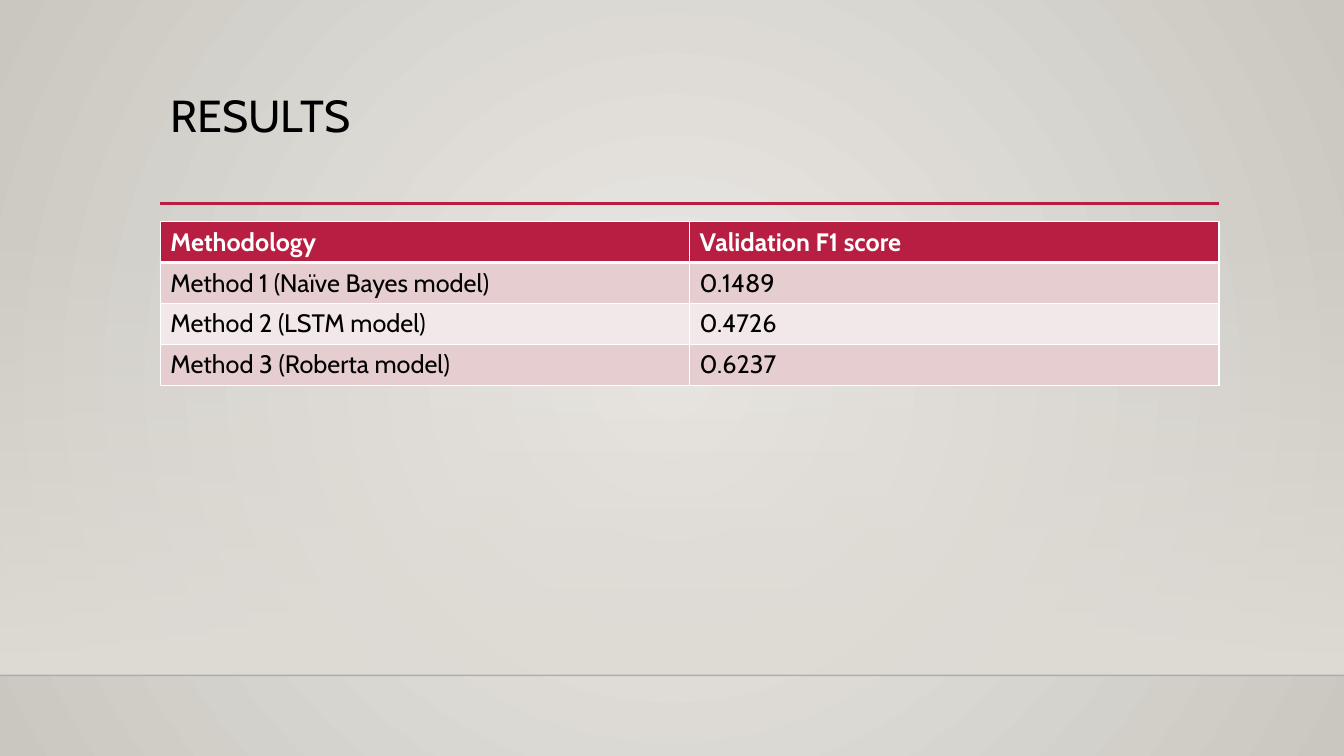
from pptx import Presentation
from pptx.dml.color import RGBColor
from pptx.enum.shapes import MSO_CONNECTOR, MSO_SHAPE
from pptx.enum.text import MSO_ANCHOR, PP_ALIGN
from pptx.oxml import parse_xml
from pptx.oxml.ns import nsdecls, qn
from pptx.util import Inches, Pt
from lxml.etree import SubElement

FONT = "Cabin"
RED = RGBColor(0xB7, 0x1E, 0x42)
ROSE = RGBColor(0xE6, 0xCD, 0xCF)
BLUSH = RGBColor(0xF3, 0xE8, 0xE9)
WHITE = RGBColor(0xFF, 0xFF, 0xFF)
BLACK = RGBColor(0, 0, 0)
INK = RGBColor(0, 0, 1)
LIGHT = RGBColor(0xEC, 0xEA, 0xE7)
STONE = RGBColor(0xCA, 0xC7, 0xC1)
SAND = RGBColor(0xDF, 0xDB, 0xD5)

WIDE, HIGH = 13.33, 7.5
LEFT, SPAN = 1.59, 10.5
FLOOR = 6.7

ROWS = [
    ("Methodology", "Validation F1 score"),
    ("Method 1 (Naïve Bayes model)", "0.1489"),
    ("Method 2 (LSTM model)", "0.4726"),
    ("Method 3 (Roberta model)", "0.6237"),
]


def fade(holder, start, end, shape, alpha=100):
    """Swap a solid fill for a gradient; alpha is the start opacity."""
    grad = parse_xml(
        f'<a:gradFill {nsdecls("a")} rotWithShape="1"><a:gsLst>'
        f'<a:gs pos="0"><a:srgbClr val="{start}"><a:alpha val="{alpha * 1000}"/>'
        f'</a:srgbClr></a:gs><a:gs pos="100000"><a:srgbClr val="{end}"/></a:gs>'
        f'</a:gsLst>{shape}</a:gradFill>')
    holder.replace(holder.find(qn("a:solidFill")), grad)


def rule(slide, x, y, width, color, weight, alpha=100):
    line = slide.shapes.add_connector(
        MSO_CONNECTOR.STRAIGHT, Inches(x), Inches(y), Inches(x + width), Inches(y))
    line.line.color.rgb = color
    line.line.width = Pt(weight)
    props = line._element.spPr
    if alpha < 100:
        tint = props.find(".//" + qn("a:srgbClr"))
        SubElement(tint, qn("a:alpha")).set("val", str(alpha * 1000))
    SubElement(props, qn("a:effectLst"))


def backdrop(slide, top):
    # Radial page colour
    slide.background.fill.solid()
    fade(slide._element.cSld.bg.bgPr, LIGHT, STONE,
         '<a:path path="circle"><a:fillToRect l="50000" t="50000" '
         'r="50000" b="50000"/></a:path>')
    # Wall that fades in down to the floor line
    wall = slide.shapes.add_shape(
        MSO_SHAPE.RECTANGLE, 0, Inches(top), Inches(WIDE), Inches(FLOOR - top))
    wall.shadow.inherit = False
    wall.line.fill.background()
    wall.fill.solid()
    fade(wall._element.spPr, SAND, SAND, '<a:lin ang="5400000" scaled="0"/>', 0)
    rule(slide, 0, FLOOR, WIDE, INK, 1, 20)


def heading(slide, x, y, width, height):
    title = slide.shapes.title
    title.left, title.top = Inches(x), Inches(y)
    title.width, title.height = Inches(width), Inches(height)
    frame = title.text_frame
    frame.text = "RESULTS"
    frame.vertical_anchor = MSO_ANCHOR.TOP
    para = frame.paragraphs[0]
    para.alignment = PP_ALIGN.LEFT
    para.line_spacing = 0.9
    para.font.name, para.font.size = FONT, Pt(32)
    para.font.color.rgb = BLACK
    # Rule under the title
    rule(slide, x, y + height - 0.01, width, RED, 2.5)


def border(cell, top, bottom):
    props = cell._tc.get_or_add_tcPr()
    sides = [("L", 1), ("R", 1), ("T", top), ("B", bottom)]
    for place, (side, weight) in enumerate(sides):
        props.insert(place, parse_xml(
            f'<a:ln{side} {nsdecls("a")} w="{Pt(weight)}"><a:solidFill>'
            f'<a:srgbClr val="{WHITE}"/></a:solidFill></a:ln{side}>'))


def scores(slide, x, y, width, height):
    table = slide.shapes.add_table(
        len(ROWS), len(ROWS[0]), Inches(x), Inches(y),
        Inches(width), Inches(height)).table
    for r, row in enumerate(ROWS):
        head = r == 0
        for c, text in enumerate(row):
            cell = table.cell(r, c)
            cell.text = text
            cell.fill.solid()
            cell.fill.fore_color.rgb = RED if head else ROSE if r % 2 else BLUSH
            font = cell.text_frame.paragraphs[0].font
            font.name, font.size, font.bold = FONT, Pt(18), head
            font.color.rgb = WHITE if head else BLACK
            border(cell, 3 if r == 1 else 1, 3 if head else 1)


def main():
    deck = Presentation()
    deck.slide_width, deck.slide_height = Inches(WIDE), Inches(HIGH)
    slide = deck.slides.add_slide(deck.slide_layouts[5])
    backdrop(slide, 2.21)
    heading(slide, LEFT, 0.88, SPAN, 1.15)
    scores(slide, LEFT, 2.2, SPAN, 1.62)
    deck.save("out.pptx")


if __name__ == "__main__":
    main()
